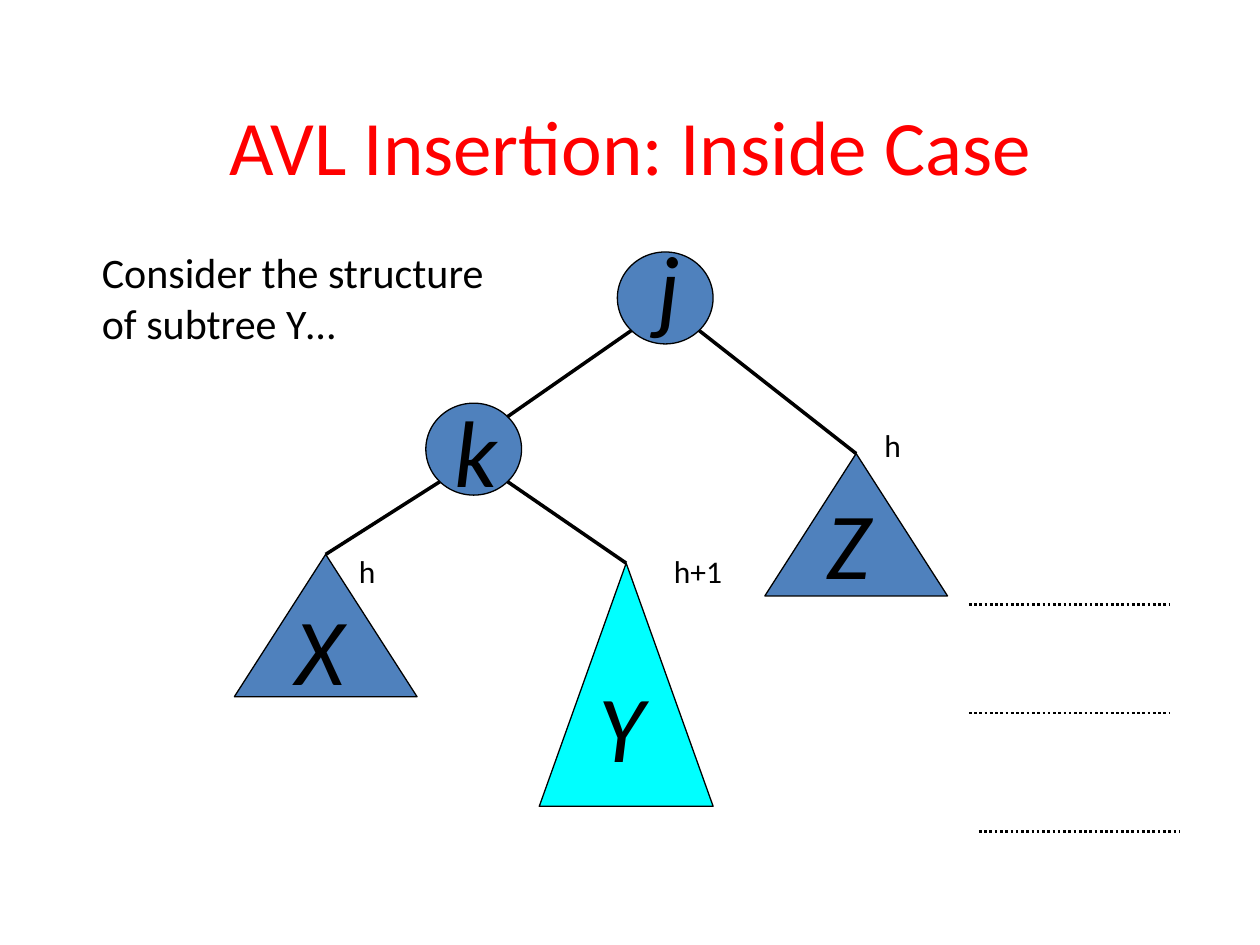
from collections import namedtuple
from math import sqrt

from lxml import etree
from pptx import Presentation
from pptx.dml.color import RGBColor
from pptx.enum.dml import MSO_LINE
from pptx.enum.shapes import MSO_CONNECTOR, MSO_SHAPE
from pptx.enum.text import MSO_ANCHOR, PP_ALIGN
from pptx.oxml.ns import qn
from pptx.util import Inches, Pt

OVAL, TRIANGLE = MSO_SHAPE.OVAL, MSO_SHAPE.ISOSCELES_TRIANGLE
STRAIGHT, DOTTED = MSO_CONNECTOR.STRAIGHT, MSO_LINE.ROUND_DOT
LEFT, CENTER = PP_ALIGN.LEFT, PP_ALIGN.CENTER
TOP, MIDDLE = MSO_ANCHOR.TOP, MSO_ANCHOR.MIDDLE

COLUMNS, ROWS = 100, 75  # slide grid
CELL = Inches(0.1)
BLACK, RED, BLUE, CYAN = "000000", "FF0000", "4F81BD", "00FFFF"

TITLE = {"size": Pt(44), "color": RED}
CAPTION = {"size": Pt(24)}
LETTER = {"size": Pt(54), "italic": True}
HEIGHT_LABEL = {"size": Pt(18)}

Box = namedtuple("Box", "left top width height")


def cells(*values):
    return [round(value * CELL) for value in values]


def inside(box, left, top, width, height):
    """Box whose left and top are counted from the corner of another box."""
    return Box(box.left + left, box.top + top, width, height)


def rgb(color):
    return RGBColor.from_string(color)


def add_text(slide, box, lines, style, align=LEFT, anchor=TOP, wrap=True):
    frame = slide.shapes.add_textbox(*cells(*box)).text_frame
    frame.word_wrap = wrap
    frame.vertical_anchor = anchor
    for index, line in enumerate(lines):
        paragraph = frame.add_paragraph() if index else frame.paragraphs[0]
        paragraph.alignment = align
        run = paragraph.add_run()
        run.text = line
        values = {"name": "Calibri", "color": BLACK, **style}
        run.font.color.rgb = rgb(values.pop("color"))
        for name, value in values.items():
            setattr(run.font, name, value)


def add_line(slide, start, end, width, dash=None):
    connector = slide.shapes.add_connector(STRAIGHT, *cells(*start, *end))
    connector.line.color.rgb = rgb(BLACK)
    connector.line.width = Pt(width)
    if dash:
        connector.line.dash_style = dash
    etree.SubElement(connector._element.spPr, qn("a:effectLst"))


def add_node(slide, kind, box, fill, letter, letter_box):
    shape = slide.shapes.add_shape(kind, *cells(*box))
    shape.shadow.inherit = False
    shape.fill.solid()
    shape.fill.fore_color.rgb = rgb(fill)
    shape.line.color.rgb = rgb(BLACK)
    shape.line.width = Pt(0.75)
    add_text(slide, letter_box, [letter], LETTER)


def diagonal(box, across, down):
    """Point of an ellipse on the diagonal given by two signs."""
    return (box.left + box.width / 2 * (1 + across / sqrt(2)),
            box.top + box.height / 2 * (1 + down / sqrt(2)))


def apex(box):
    return box.left + box.width / 2, box.top


def draw_tree(slide, box):
    circle, subtree, tall_subtree = (7.6, 7.3), (14.5, 11.3), (13.8, 19.3)
    letter = (4.6, 10)
    nodes = {
        # letter: kind, place, size, fill, place of the letter in the node
        "j": (OVAL, (30.4, 0), circle, BLUE, (2.2, -2.4)),
        "k": (OVAL, (15.2, 12), circle, BLUE, (1.3, -1.3)),
        "X": (TRIANGLE, (0, 24), subtree, BLUE, (3.9, 2.4)),
        "Y": (TRIANGLE, (24.2, 24.7), tall_subtree, CYAN, (3.7, 7.8)),
        "Z": (TRIANGLE, (42.1, 16), subtree, BLUE, (3.9, 2)),
    }
    places = {}
    for name, (kind, place, size, fill, letter_place) in nodes.items():
        places[name] = inside(box, *place, *size)
        letter_box = inside(places[name], *letter_place, *letter)
        add_node(slide, kind, places[name], fill, name, letter_box)

    root, child = places["j"], places["k"]
    edges = [
        (diagonal(root, -1, 1), diagonal(child, 1, -1)),
        (diagonal(root, 1, 1), apex(places["Z"])),
        (diagonal(child, -1, 1), apex(places["X"])),
        (diagonal(child, 1, 1), apex(places["Y"])),
    ]
    for start, end in edges:
        add_line(slide, start, end, 2)

    labels = [("h", 50.6, 13.3, 3.6), ("h+1", 33.9, 23.3, 6.7),
              ("h", 8.9, 23.3, 3.6)]
    for text, left, top, width in labels:
        label_box = inside(box, left, top, width, 4.3)
        add_text(slide, label_box, [text], HEIGHT_LABEL, wrap=False)


def draw_levels(slide, box):
    """Dotted lines that mark the depths of the subtrees."""
    length = 15.9
    for left, top in [(0, 0), (0, 8.6), (0.8, box.height)]:
        x, y = box.left + left, box.top + top
        add_line(slide, (x, y), (x + length, y), 1.5, DOTTED)


def main():
    presentation = Presentation()
    presentation.slide_width, presentation.slide_height = cells(COLUMNS, ROWS)
    slide = presentation.slides.add_slide(presentation.slide_layouts[6])
    add_text(slide, Box(7.3, 7.1, 85.5, 8.8), ["AVL Insertion: Inside Case"],
             TITLE, CENTER, MIDDLE)
    add_text(slide, Box(7.1, 19.1, 34.8, 9),
             ["Consider the structure", "of subtree Y…"], CAPTION, wrap=False)
    draw_tree(slide, Box(18.6, 20, 56.6, 44))
    draw_levels(slide, Box(76.9, 48, 16.7, 18))
    presentation.save("out.pptx")


if __name__ == "__main__":
    main()
